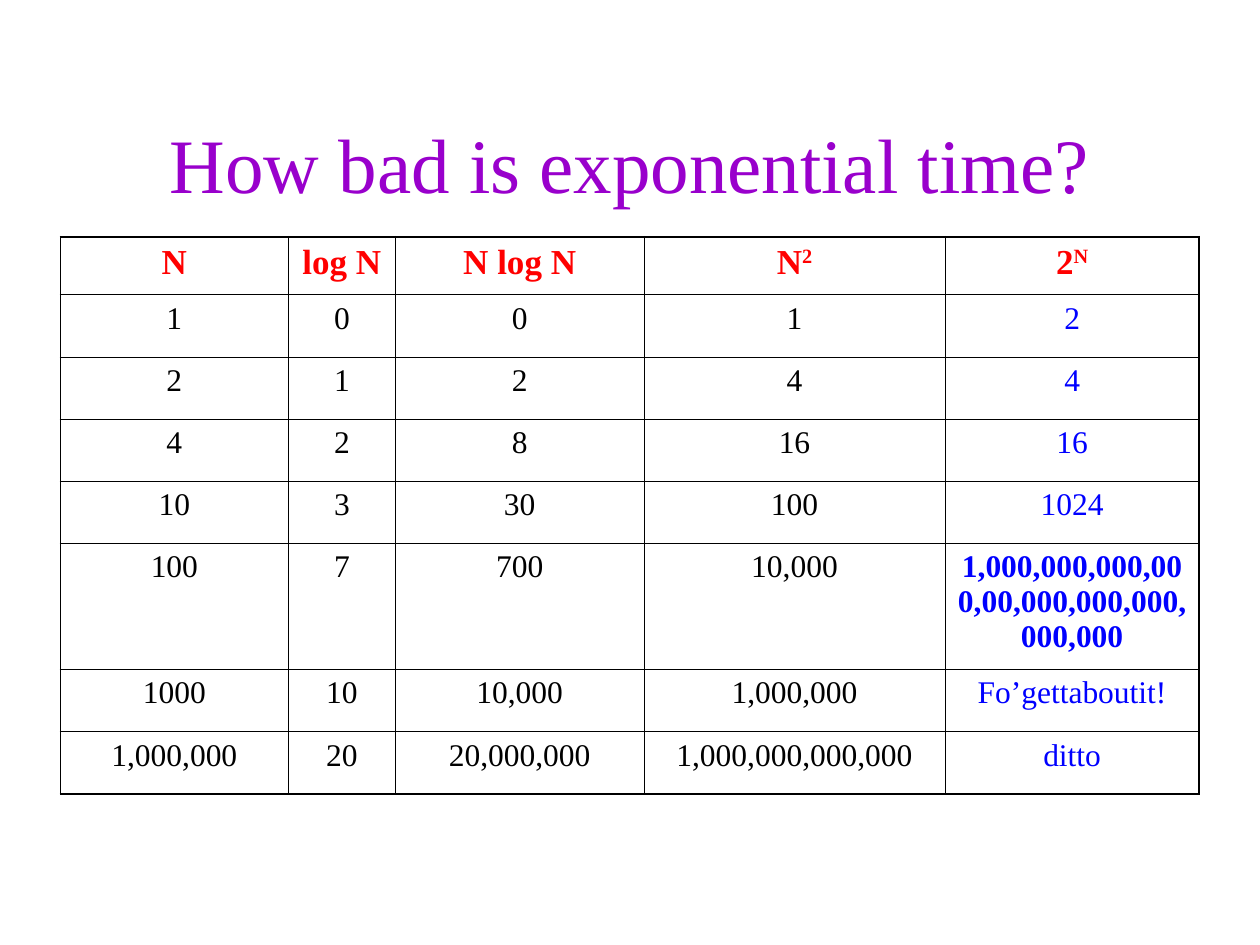
import pptx
import pptx.util
import pptx.dml.color
import pptx.enum.text
import pptx.oxml
import pptx.oxml.ns
import lxml.etree

Pt = pptx.util.Pt

TITLE = "How bad is exponential time?"
HEADERS = [("N", ""), ("log N", ""), ("N log N", ""), ("N", "2"), ("2", "N")]
GROWTH = [
    ("1", "0", "0", "1", "2"),
    ("2", "1", "2", "4", "4"),
    ("4", "2", "8", "16", "16"),
    ("10", "3", "30", "100", "1024"),
    ("100", "7", "700", "10,000", "1,000,000,000,000,00,000,000,000,000,000"),
    ("1000", "10", "10,000", "1,000,000", "Fo’gettaboutit!"),
    ("1,000,000", "20", "20,000,000", "1,000,000,000,000", "ditto"),
]
COLUMN_WIDTHS = [130.3, 61.2, 142, 172.1, 145.2]
HEADER_HEIGHT, ROW_HEIGHT, TALL_HEIGHT = 33.1, 35.55, 72
TALL_ROW = 5
TABLE_LEFT, TABLE_TOP = 34.5, 135.3
INNER_LINE, OUTER_LINE = 0.45, 1.08
FONT = "Times New Roman"
COLORS = {"title": "9900CC", "header": "FF0000", "body": "000000",
          "exponential": "0000FF", "border": "000000"}


def add_run(para, text, size, color, bold=False, raised=False):
    run = para.add_run()
    run.text = text
    run.font.name = FONT
    run.font.size = Pt(size)
    run.font.bold = bold
    run.font.color.rgb = pptx.dml.color.RGBColor.from_string(COLORS[color])
    if raised:
        run.font._element.set("baseline", "30000")


def set_borders(cell, outer_sides):
    properties = cell._tc.get_or_add_tcPr()
    for position, side in enumerate("LRTB"):
        width = OUTER_LINE if side in outer_sides else INNER_LINE
        line = lxml.etree.Element(pptx.oxml.ns.qn(f"a:ln{side}"), w=str(Pt(width)))
        fill = lxml.etree.SubElement(line, pptx.oxml.ns.qn("a:solidFill"))
        lxml.etree.SubElement(fill, pptx.oxml.ns.qn("a:srgbClr"), val=COLORS["border"])
        properties.insert(position, line)


def add_title(slide):
    box = slide.shapes.add_textbox(Pt(54), Pt(48), Pt(612), Pt(90))
    frame = box.text_frame
    frame.word_wrap = True
    frame.vertical_anchor = pptx.enum.text.MSO_ANCHOR.MIDDLE
    para = frame.paragraphs[0]
    para.alignment = pptx.enum.text.PP_ALIGN.CENTER
    add_run(para, TITLE, 44, "title")


def fill_cell(cell, row, column):
    cell.fill.background()
    cell.margin_left = cell.margin_right = Pt(7.2)
    cell.margin_top = cell.margin_bottom = Pt(3.6)
    para = cell.text_frame.paragraphs[0]
    para.alignment = pptx.enum.text.PP_ALIGN.CENTER
    last_column = len(HEADERS) - 1
    if row == 0:
        para.space_before = Pt(5)
        base, exponent = HEADERS[column]
        add_run(para, base, 20, "header", bold=True)
        if exponent:
            add_run(para, exponent, 20, "header", bold=True, raised=True)
    else:
        para.space_before = Pt(4.5)
        exponential = column == last_column
        add_run(para, GROWTH[row - 1][column], 18,
                "exponential" if exponential else "body",
                bold=exponential and row == TALL_ROW)
    edges = {"L": column == 0, "R": column == last_column,
             "T": row == 0, "B": row == len(GROWTH)}
    set_borders(cell, [side for side, outer in edges.items() if outer])


def add_growth_table(slide):
    heights = [HEADER_HEIGHT] + [ROW_HEIGHT] * len(GROWTH)
    heights[TALL_ROW] = TALL_HEIGHT
    table = slide.shapes.add_table(
        len(heights), len(COLUMN_WIDTHS), Pt(TABLE_LEFT), Pt(TABLE_TOP),
        Pt(sum(COLUMN_WIDTHS)), Pt(sum(heights))).table
    table.first_row = table.horz_banding = False
    for column, width in enumerate(COLUMN_WIDTHS):
        table.columns[column].width = Pt(width)
    for row, height in enumerate(heights):
        table.rows[row].height = Pt(height)
        for column in range(len(COLUMN_WIDTHS)):
            fill_cell(table.cell(row, column), row, column)


def main():
    deck = pptx.Presentation()
    deck.slide_width, deck.slide_height = Pt(720), Pt(540)
    slide = deck.slides.add_slide(deck.slide_layouts[6])
    add_title(slide)
    add_growth_table(slide)
    deck.save("out.pptx")


if __name__ == "__main__":
    main()
